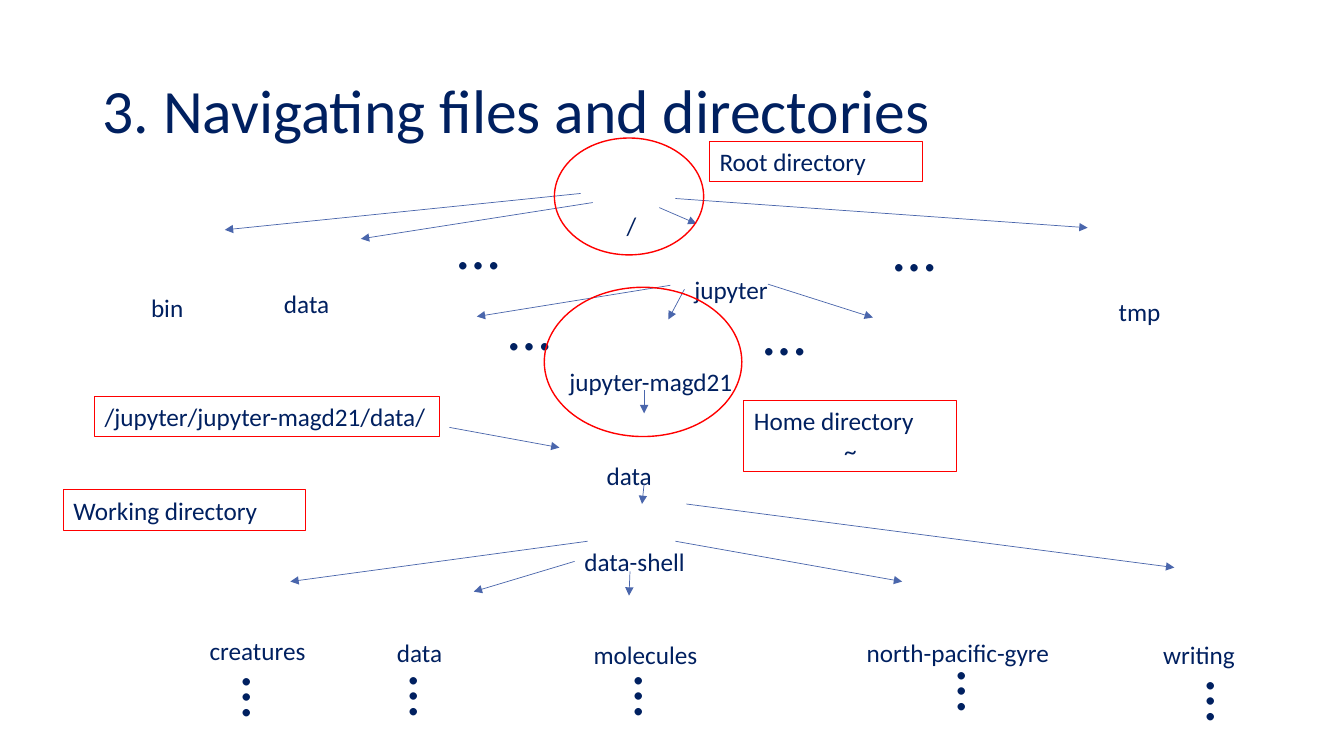
import pptx
import pptx.util
import pptx.dml.color
import pptx.enum.shapes
import pptx.enum.text
import pptx.oxml.ns
import lxml.etree

Pt = pptx.util.Pt
RGB = pptx.dml.color.RGBColor
SHAPES = pptx.enum.shapes.MSO_SHAPE
ALIGN = pptx.enum.text.PP_ALIGN
ANCHOR = pptx.enum.text.MSO_ANCHOR
AUTOFIT = pptx.enum.text.MSO_AUTO_SIZE

# Content: all lengths in points
TITLE = "3. Navigating files and directories"

DIRECTORIES = [  # name, left, top, width
    ("/", 440.6, 146.9, 31.7),
    ("bin", 100.8, 205.2, 42.5),
    ("data", 195.8, 202.3, 69),
    ("tmp", 792, 208, 46.8),
    ("jupyter", 488.9, 192.2, 69),
    ("jupyter-magd21", 399.6, 257.8, 140.4),
    ("data", 426.2, 325.4, 74),
    ("data-shell", 410.4, 386.6, 121),
    ("creatures", 142.6, 450, 93),
    ("data", 276.5, 451.4, 80),
    ("molecules", 416.9, 452.9, 97),
    ("north-pacific-gyre", 612, 451.4, 168),
    ("writing", 823.7, 452.9, 99.4),
]

MORE_SIBLINGS = [(319.7, 144.7), (631.4, 146.2), (356.4, 203), (538.6, 206.6)]
MORE_CHILDREN = [(151.2, 486), (270.7, 485.3), (431.3, 485.3),
                 (661.7, 481.7), (839.5, 488.9)]

ARROWS = [  # start x, start y, end x, end y
    # from the root
    (414.7, 138.2, 160.6, 164.2),
    (423.4, 144.7, 257.8, 170.6),
    (470.9, 148.3, 497.5, 159.8),
    (482.4, 141.8, 776.9, 162.7),
    # from jupyter
    (478.8, 203.8, 340.6, 226.1),
    (488.9, 206.6, 477.4, 228.2),
    (548.6, 203, 623.5, 226.8),
    # down to data and data-shell
    (460.1, 278.6, 460.1, 295.2),
    (460.1, 345.6, 458.6, 360),
    # from data-shell
    (450, 408.2, 449.3, 425.5),
    (419.8, 386.6, 207.4, 415.4),
    (410.4, 401, 338.4, 422.6),
    (482.4, 386.6, 644.4, 415.4),
    (490.3, 360, 838.8, 405.4),
    # from the path note
    (321.1, 305.3, 399.6, 319.7),
]

CIRCLES = [(396, 98.6, 106.6, 83.5), (388.8, 205.2, 141.1, 106.6)]

NOTES = [  # lines, left, top, width, height, wrap
    (["Root directory"], 506.9, 100.8, 152, 29, True),
    (["Home directory", "~"], 531.4, 285.8, 152, 51, True),
    (["Working directory"], 45.4, 349.9, 172.8, 29, True),
    (["/jupyter/jupyter-magd21/data/"], 67.7, 283, 246.2, 29, False),
]

THEME = {
    "font": "Calibri",
    "text": RGB(0x00, 0x20, 0x60),
    "arrow": RGB(0x4A, 0x66, 0xAC),
    "mark": RGB(0xFF, 0x00, 0x00),
    "large": 44,
    "label": 18,
}
LABEL_HEIGHT = 29
DOTS_WIDTH, DOTS_HEIGHT = 80, 60.5


def write(box, lines, size, wrap=True, autofit=AUTOFIT.SHAPE_TO_FIT_TEXT):
    frame = box.text_frame
    frame.text = "\n".join(lines)
    frame.word_wrap = wrap
    frame.auto_size = autofit
    for para in frame.paragraphs:
        para.alignment = ALIGN.LEFT
        for span in para.runs:
            span.font.name = THEME["font"]
            span.font.size = Pt(size)
            span.font.color.rgb = THEME["text"]


def add_label(page, text, size, left, top, width, height, rotation=0):
    box = page.shapes.add_textbox(Pt(left), Pt(top), Pt(width), Pt(height))
    box.rotation = rotation
    write(box, [text], size)


def add_outline(page, kind, bounds, weight):
    shape = page.shapes.add_shape(kind, *map(Pt, bounds))
    shape.shadow.inherit = False
    shape.fill.background()
    shape.line.color.rgb = THEME["mark"]
    shape.line.width = Pt(weight)
    return shape


def add_arrow(page, ends):
    arrow = page.shapes.add_connector(
        pptx.enum.shapes.MSO_CONNECTOR.STRAIGHT, *map(Pt, ends))
    arrow.line.color.rgb = THEME["arrow"]
    arrow.line.width = Pt(0.5)
    qn = pptx.oxml.ns.qn
    properties = arrow.line._get_or_add_ln()
    lxml.etree.SubElement(properties, qn("a:tailEnd"), type="triangle")
    lxml.etree.SubElement(arrow._element.spPr, qn("a:effectLst"))


def main():
    deck = pptx.Presentation()
    deck.slide_width, deck.slide_height = Pt(960), Pt(540)
    page = deck.slides.add_slide(deck.slide_layouts[5])

    # Title
    title = page.shapes.title
    title.left, title.top, title.width, title.height = map(Pt, (66, 28.8, 828, 104.4))
    write(title, [TITLE], THEME["large"], autofit=AUTOFIT.NONE)
    title.text_frame.vertical_anchor = ANCHOR.MIDDLE
    title.text_frame.paragraphs[0].line_spacing = 0.9

    # Directory tree
    for name, left, top, width in DIRECTORIES:
        add_label(page, name, THEME["label"], left, top, width, LABEL_HEIGHT)
    for rotation, places in ((0, MORE_SIBLINGS), (90, MORE_CHILDREN)):
        for left, top in places:
            add_label(page, "…", THEME["large"], left, top,
                      DOTS_WIDTH, DOTS_HEIGHT, rotation)
    for ends in ARROWS:
        add_arrow(page, ends)

    # Circled directories and their notes
    for bounds in CIRCLES:
        add_outline(page, SHAPES.OVAL, bounds, 1)
    for lines, *bounds, wrap in NOTES:
        note = add_outline(page, SHAPES.RECTANGLE, bounds, 0.75)
        write(note, lines, THEME["label"], wrap)
        note.text_frame.vertical_anchor = ANCHOR.TOP
        for para in note.text_frame.paragraphs[1:]:
            para.alignment = ALIGN.CENTER

    deck.save("out.pptx")


if __name__ == "__main__":
    main()
